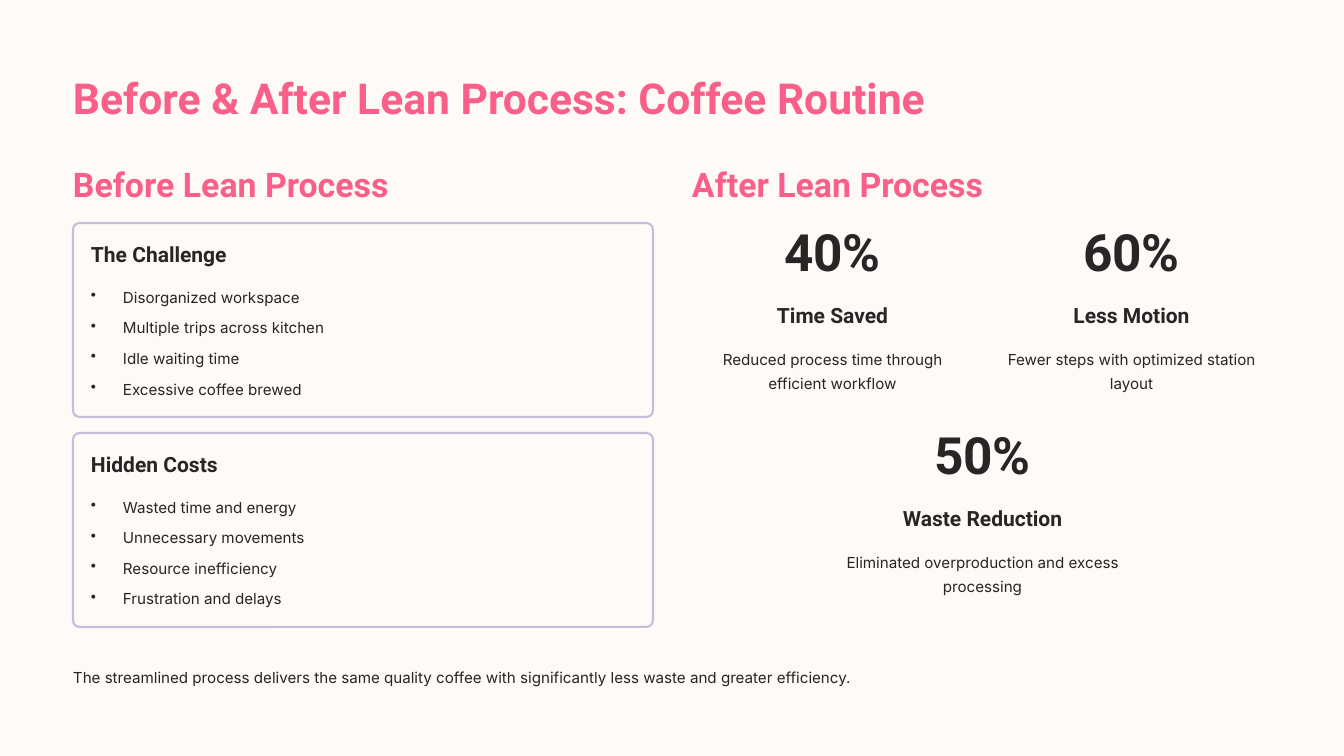
from dataclasses import dataclass

from lxml import etree
from pptx import Presentation
from pptx.dml.color import RGBColor
from pptx.enum.shapes import MSO_SHAPE
from pptx.enum.text import PP_ALIGN
from pptx.oxml.ns import qn
from pptx.util import Emu, Pt

ROUNDED = MSO_SHAPE.ROUNDED_RECTANGLE
LEFT, CENTER = PP_ALIGN.LEFT, PP_ALIGN.CENTER
PX = 914400 // 84


@dataclass(frozen=True)
class TextStyle:
    font: str
    size: float
    line: float
    color: RGBColor
    bold: bool = True


class Theme:
    paper = RGBColor.from_string("FDFAF7")
    pink = RGBColor.from_string("F95F88")
    ink = RGBColor.from_string("272525")
    lilac = RGBColor.from_string("C6BDDA")
    title = TextStyle("Roboto", 36.5, 46, pink)
    heading = TextStyle("Roboto", 29, 36.5, pink)
    label = TextStyle("Roboto", 18, 23, ink)
    number = TextStyle("Roboto", 44, 44, ink)
    body = TextStyle("Inter", 13, 21, ink, False)


def box(*lengths):
    return [Emu(length * PX) for length in lengths]


def add_text(area, lines, style, align=LEFT, bullets=False):
    frame = slide.shapes.add_textbox(*box(*area)).text_frame
    frame.margin_left = frame.margin_right = frame.margin_top = frame.margin_bottom = 0
    frame.word_wrap = True
    for index, line in enumerate(lines):
        paragraph = frame.add_paragraph() if index else frame.paragraphs[0]
        paragraph.alignment = align
        paragraph.line_spacing = Pt(style.line)
        if index:
            paragraph.space_before = Pt(5.15)
        if bullets:
            properties = paragraph._p.get_or_add_pPr()
            properties.set("marL", str(32 * PX))
            properties.set("indent", str(-32 * PX))
            etree.SubElement(properties, qn("a:buChar")).set("char", "•")
        run = paragraph.add_run()
        run.text = line
        run.font.name = style.font
        run.font.size = Pt(style.size)
        run.font.bold = style.bold
        run.font.color.rgb = style.color


presentation = Presentation()
presentation.slide_width, presentation.slide_height = box(1344, 756)
slide = presentation.slides.add_slide(presentation.slide_layouts[6])
slide.background.fill.solid()
slide.background.fill.fore_color.rgb = Theme.paper

add_text((73, 69, 858, 54), ["Before & After Lean Process: Coffee Routine"], Theme.title)
for left, heading in [(73, "Before Lean Process"), (692, "After Lean Process")]:
    add_text((left, 162, 344, 43), [heading], Theme.heading)

cards = [
    (223, "The Challenge", [
        "Disorganized workspace",
        "Multiple trips across kitchen",
        "Idle waiting time",
        "Excessive coffee brewed",
    ]),
    (433, "Hidden Costs", [
        "Wasted time and energy",
        "Unnecessary movements",
        "Resource inefficiency",
        "Frustration and delays",
    ]),
]
for top, label, points in cards:
    card = slide.shapes.add_shape(ROUNDED, *box(73, top, 580, 194))
    card.shadow.inherit = False
    card.adjustments[0] = 0.034
    card.fill.solid()
    card.fill.fore_color.rgb = Theme.paper
    card.line.color.rgb = Theme.lilac
    card.line.width = Pt(1.8)
    add_text((91, top + 17, 215, 27), [label], Theme.label)
    add_text((91, top + 59, 544, 117), points, Theme.body, bullets=True)

results = [
    (692, 230, "40%", "Time Saved", "Reduced process time through efficient workflow"),
    (991, 230, "60%", "Less Motion", "Fewer steps with optimized station layout"),
    (842, 433, "50%", "Waste Reduction", "Eliminated overproduction and excess processing"),
]
for left, top, number, label, detail in results:
    add_text((left, top, 281, 51), [number], Theme.number, CENTER)
    add_text((left + 33, top + 71, 215, 27), [label], Theme.label, CENTER)
    add_text((left, top + 114, 281, 50), [detail], Theme.body, CENTER)

add_text(
    (73, 662, 1198, 25),
    ["The streamlined process delivers the same quality coffee with significantly less waste and greater efficiency."],
    Theme.body,
)

presentation.save("out.pptx")
